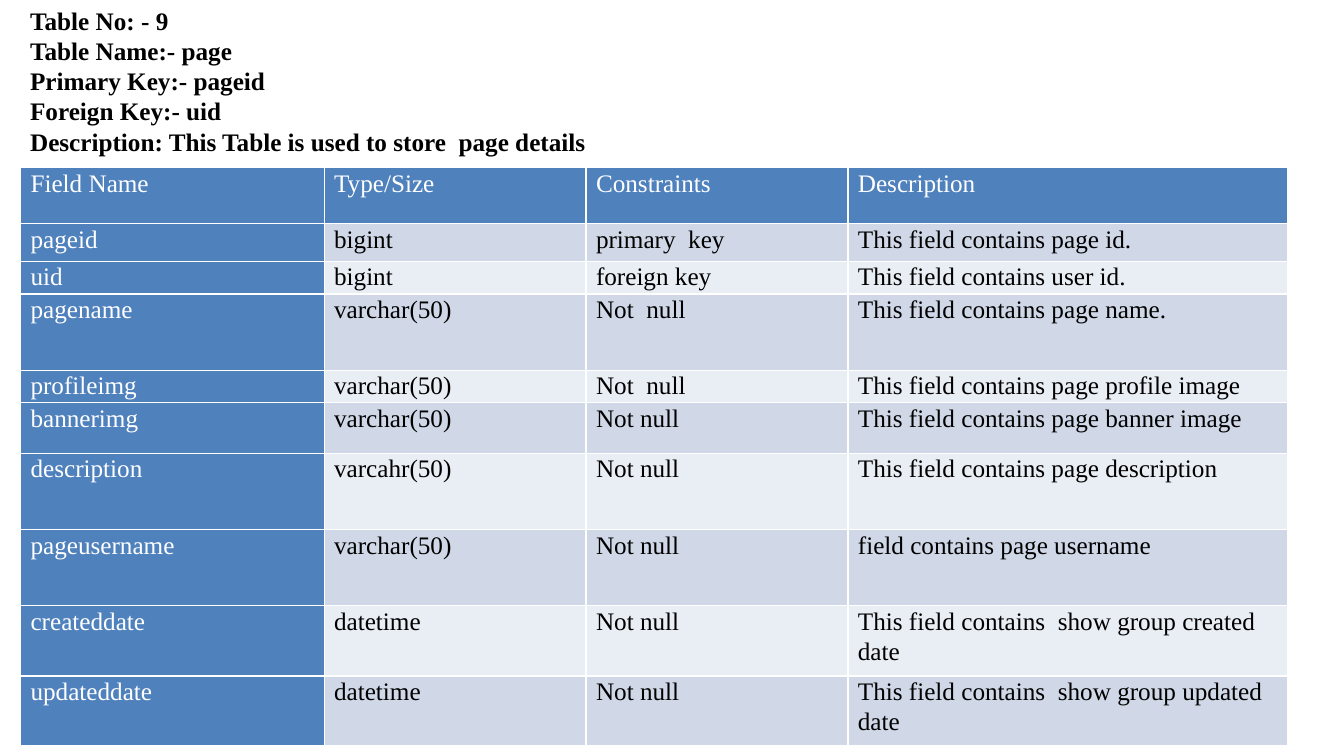
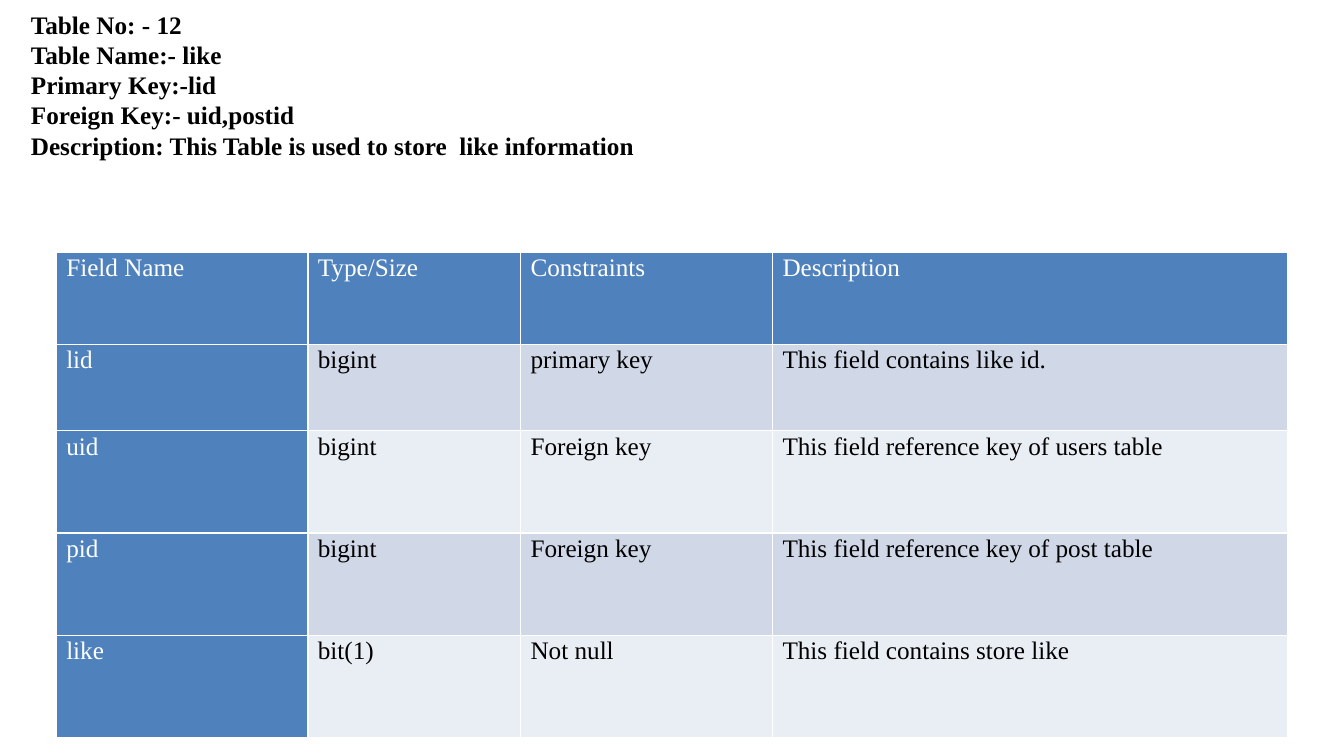
import pptx
import pptx.dml.color
import pptx.oxml
import pptx.oxml.ns
import pptx.util
from pptx.util import Cm

# Shared look
FONT = "Times New Roman"
BLUE, WHITE, BLACK = "4F81BD", "FFFFFF", "000000"
BANDS = ["E9EDF4", "D0D8E8"]
HEADER = ["Field Name", "Type/Size", "Constraints", "Description"]
CELL_FORMAT = {"margin_left": Cm(0.25), "margin_right": Cm(0.25),
               "margin_top": 0, "margin_bottom": 0}
PARAGRAPH_FORMAT = {"line_spacing": 1.07, "space_after": pptx.util.Pt(8)}

# Each slide: heading box, table position, column widths, rows (height first)
TABLES = [
    {
        "heading_at": (0.51, 0, 17.68, 4.88),
        "heading": ["Table No: - 9", "Table Name:- page", "Primary Key:- pageid",
                    "Foreign Key:- uid",
                    "Description: This Table is used to store  page details"],
        "table_at": (0.52, 4.23),
        "widths": [7.65, 6.6, 6.6, 11.07],
        "header_height": 1.41,
        "rows": [
            (0.95, "pageid", "bigint", "primary  key", "This field contains page id."),
            (0.81, "uid", "bigint", "foreign key", "This field contains user id."),
            (1.92, "pagename", "varchar(50)", "Not  null", "This field contains page name."),
            (0.82, "profileimg", "varchar(50)", "Not  null",
             "This field contains page profile image"),
            (1.28, "bannerimg", "varchar(50)", "Not null",
             "This field contains page banner image"),
            (1.92, "description", "varcahr(50)", "Not null",
             "This field contains page description"),
            (1.92, "pageusername", "varchar(50)", "Not null", "field contains page username"),
            (1.77, "createddate", "datetime", "Not null",
             "This field contains  show group created date"),
            (1.76, "updateddate", "datetime", "Not null",
             "This field contains  show group updated date"),
        ],
    },
    {
        "heading_at": (0.53, 0.1, 20.4, 4.88),
        "heading": ["Table No: - 12", "Table Name:- like", "Primary Key:-lid",
                    "Foreign Key:- uid,postid",
                    "Description: This Table is used to store  like information"],
        "table_at": (1.42, 6.36),
        "widths": [6.34, 5.36, 6.35, 12.98],
        "header_height": 2.32,
        "rows": [
            (2.17, "lid", "bigint", "primary key", "This field contains like id."),
            (2.58, "uid", "bigint", "Foreign key", "This field reference key of users table"),
            (2.58, "pid", "bigint", "Foreign key", "This field reference key of post table"),
            (2.58, "like", "bit(1)", "Not null", "This field contains store like"),
        ],
    },
]


def rgb(color):
    return pptx.dml.color.RGBColor.from_string(color)


def write(p, text, color, bold):
    r = p.add_run()
    r.text = text
    for name, value in {"name": FONT, "size": pptx.util.Pt(18), "bold": bold}.items():
        setattr(r.font, name, value)
    r.font.color.rgb = rgb(color)


prs = pptx.Presentation()
prs.slide_width, prs.slide_height = Cm(33.87), Cm(19.05)

for spec in TABLES:
    s = prs.slides.add_slide(prs.slide_layouts[6])

    # Heading lines
    tf = s.shapes.add_textbox(*[Cm(v) for v in spec["heading_at"]]).text_frame
    tf.word_wrap = True
    for i, line in enumerate(spec["heading"]):
        p = tf.add_paragraph() if i else tf.paragraphs[0]
        write(p, line, BLACK, True)

    # Table grid
    rows = [(spec["header_height"], *HEADER)] + spec["rows"]
    widths, heights = spec["widths"], [row[0] for row in rows]
    left, top = spec["table_at"]
    table = s.shapes.add_table(len(rows), len(widths), Cm(left), Cm(top),
                               Cm(sum(widths)), Cm(sum(heights))).table
    table.first_col = True
    for column, width in zip(table.columns, widths):
        column.width = Cm(width)

    # Cells: blue header row and first column, banded body
    for i, (height, *texts) in enumerate(rows):
        table.rows[i].height = Cm(height)
        for j, text in enumerate(texts):
            heading = i == 0 or j == 0
            cell = table.cell(i, j)
            for name, value in CELL_FORMAT.items():
                setattr(cell, name, value)
            p = cell.text_frame.paragraphs[0]
            for name, value in PARAGRAPH_FORMAT.items():
                setattr(p, name, value)
            write(p, text, WHITE if heading else BLACK, False)

            # Borders come before the fill in the cell properties
            tcPr = cell._tc.get_or_add_tcPr()
            for side in ("lnL", "lnR", "lnT", "lnB"):
                tcPr.append(pptx.oxml.parse_xml(
                    f'<a:{side} {pptx.oxml.ns.nsdecls("a")} w="12700"><a:solidFill>'
                    f'<a:srgbClr val="{WHITE}"/></a:solidFill></a:{side}>'))
            cell.fill.solid()
            cell.fill.fore_color.rgb = rgb(BLUE if heading else BANDS[i % 2])

prs.save("out.pptx")
